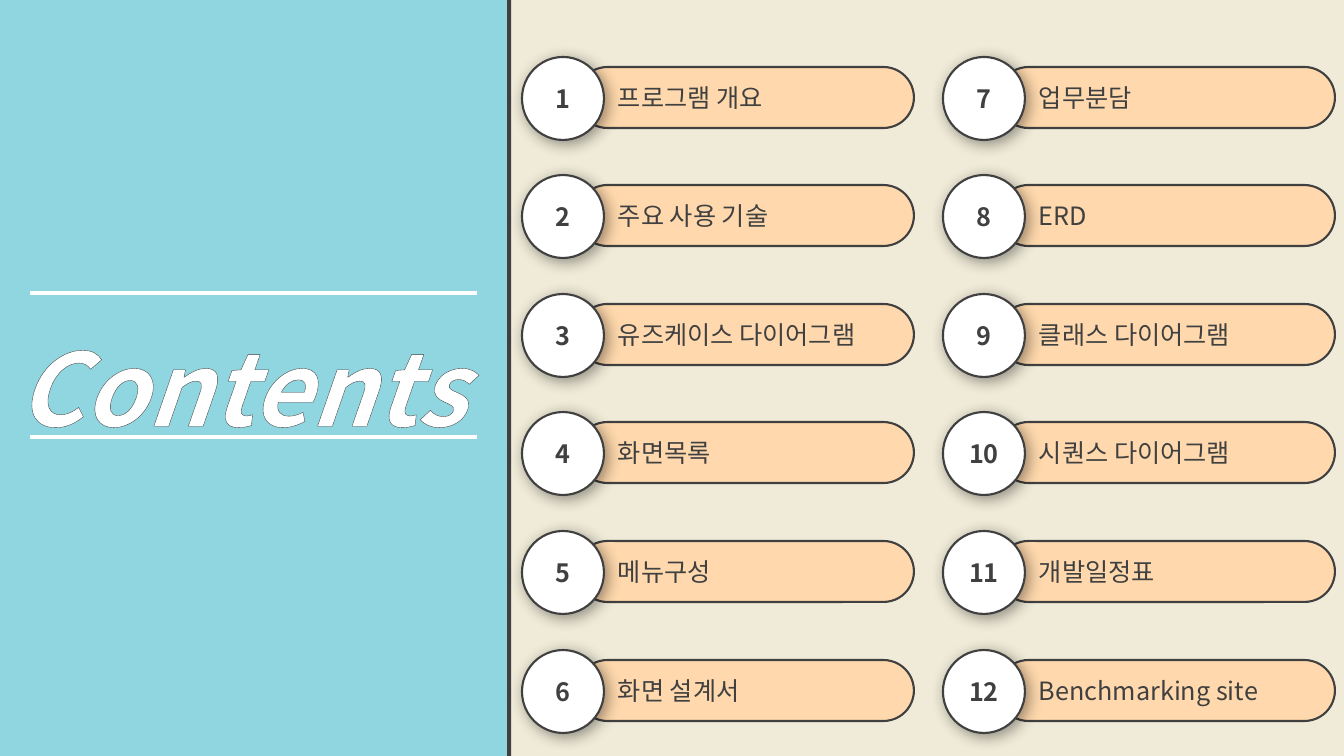
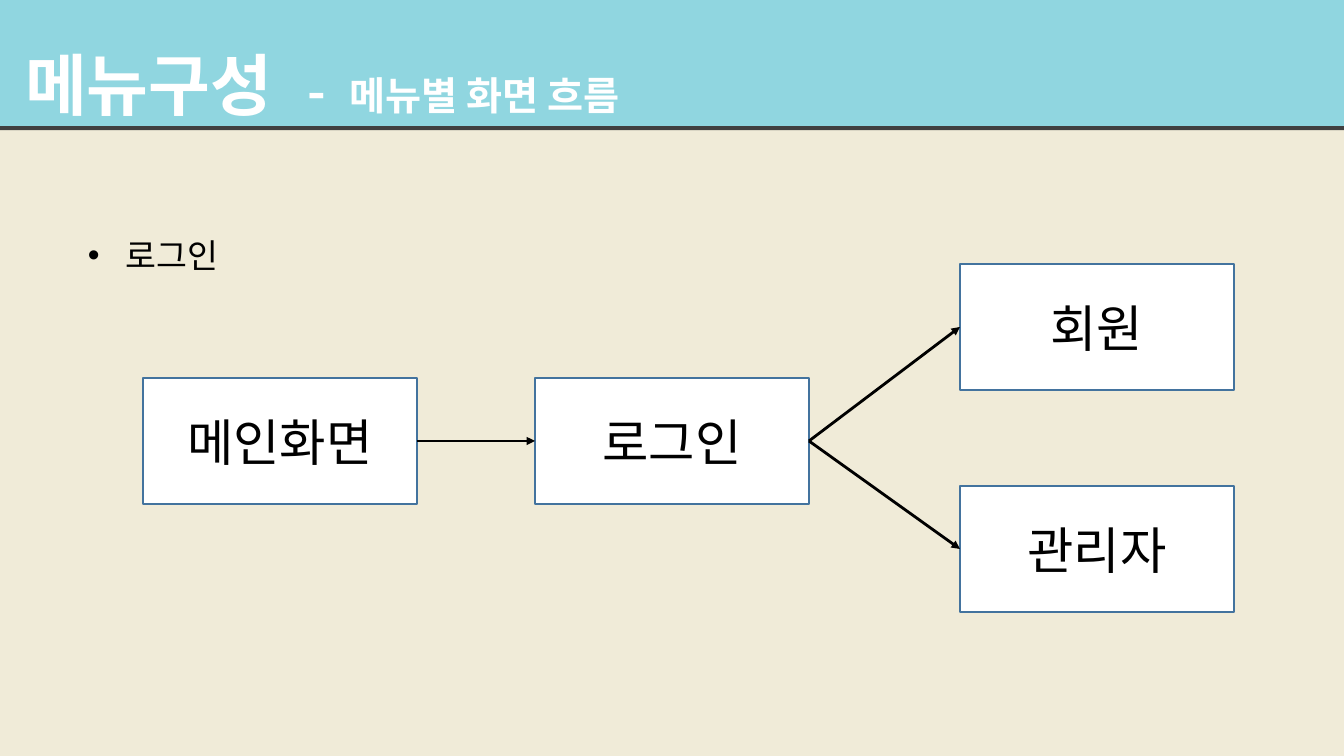
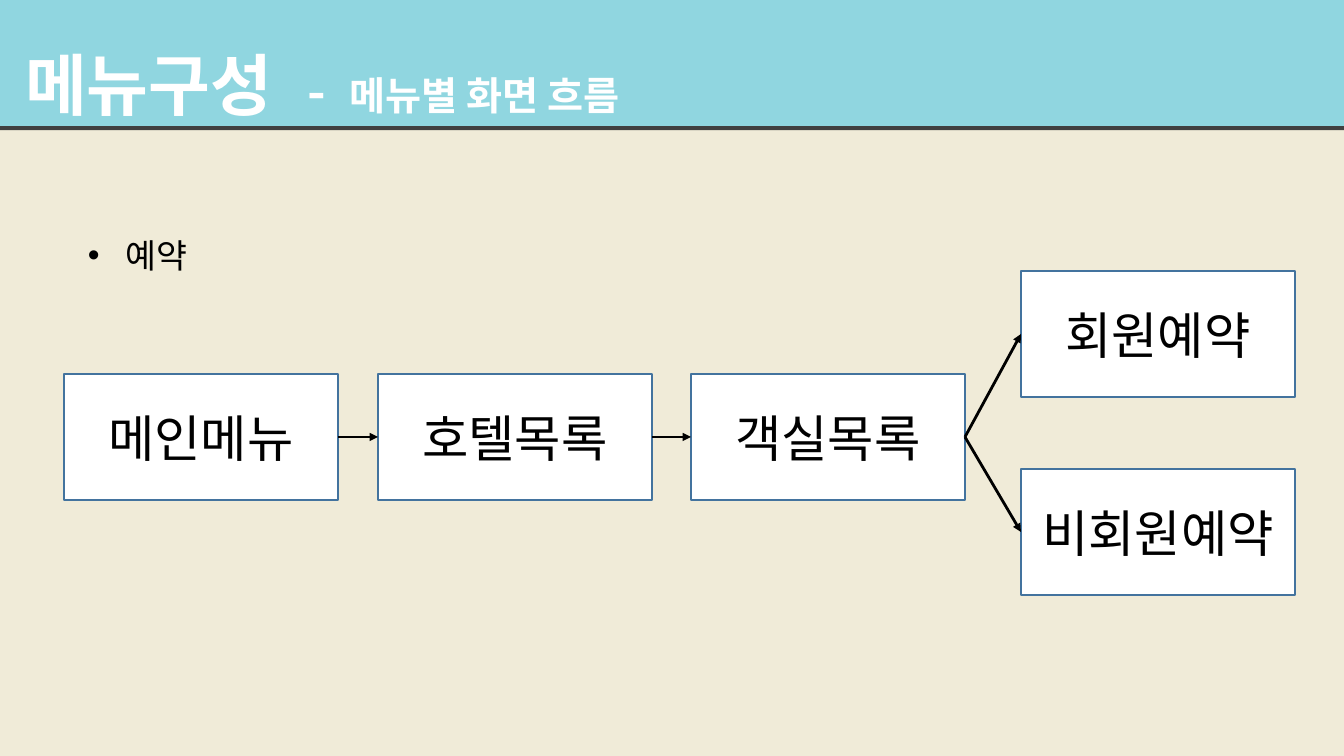
from lxml.etree import SubElement
from pptx import Presentation
from pptx.dml.color import RGBColor as RGB
from pptx.enum.shapes import MSO_CONNECTOR as CONN, MSO_SHAPE as SHAPE
from pptx.enum.text import MSO_ANCHOR as ANCHOR, MSO_AUTO_SIZE as FIT, PP_ALIGN as ALIGN
from pptx.oxml.ns import qn
from pptx.util import Emu, Pt

WIDTH, HEIGHT = 1344, 756
SCALE = 12192000 / WIDTH
FONT = "Noto Sans CJK KR"
COLORS = {
    "paper": "F0EBD8",
    "sky": "90D6E0",
    "peach": "FFD9AD",
    "dark": "404040",
    "steel": "43739E",
    "white": "FFFFFF",
    "black": "000000",
}
RIGHT_SITE, LEFT_SITE = 3, 1


def px(n):
    return Emu(round(n * SCALE))


def rgb(name):
    return RGB.from_string(COLORS[name])


def add_node(parent, tag, **attrs):
    return SubElement(parent, qn(tag), {k: str(v) for k, v in attrs.items()})


def add_color(parent, name):
    return add_node(add_node(parent, "a:solidFill"), "a:srgbClr", val=COLORS[name])


def write(tf, text, size=18, color="dark", bold=False, italic=False,
          align=ALIGN.LEFT, spacing=None, bullet=None, outline=None):
    runs = [(text, size, 0)] if isinstance(text, str) else text
    tf.word_wrap = True
    p = tf.paragraphs[0]
    p.alignment = align
    if spacing:
        p.line_spacing = spacing
    if bullet:
        pPr = p._p.get_or_add_pPr()
        pPr.set("marL", str(px(38)))
        pPr.set("indent", str(-px(38)))
        add_node(pPr, "a:buFont", typeface="Arial")
        add_node(pPr, "a:buChar", char=bullet)
    for part, points, tracking in runs:
        r = p.add_run()
        r.text = part
        f = r.font
        f.name, f.size, f.bold, f.italic = FONT, Pt(points), bold, italic
        f.color.rgb = rgb(color)
        rPr = r._r.get_or_add_rPr()
        add_node(rPr, "a:ea", typeface=FONT)
        if tracking:
            rPr.set("spc", str(tracking * 100))
        if outline:
            ln = add_node(rPr, "a:ln", w=Pt(0.75))
            add_color(ln, outline)
            rPr.insert(0, ln)


class Deck:
    def __init__(self):
        self.prs = Presentation()
        self.prs.slide_width, self.prs.slide_height = px(WIDTH), px(HEIGHT)
        self.s = None

    def slide(self):
        self.s = self.prs.slides.add_slide(self.prs.slide_layouts[6])
        fill = self.s.background.fill
        fill.solid()
        fill.fore_color.rgb = rgb("paper")

    def shape(self, kind, x, y, w, h, fill, line=None, weight=1.5, shadow=None):
        sp = self.s.shapes.add_shape(kind, px(x), px(y), px(w), px(h))
        sp.fill.solid()
        sp.fill.fore_color.rgb = rgb(fill)
        if line:
            sp.line.color.rgb = rgb(line)
            sp.line.width = Pt(weight)
        else:
            sp.line.fill.background()
        sp.shadow.inherit = False
        if shadow:
            color, alpha, blur, angle = shadow
            effects = sp._element.spPr.find(qn("a:effectLst"))
            cast = add_node(effects, "a:outerShdw", blurRad=Pt(blur), dist=Pt(3),
                            dir=angle * 60000, algn="ctr", rotWithShape=0)
            tint = add_node(cast, "a:srgbClr", val=COLORS[color])
            add_node(tint, "a:alpha", val=alpha * 1000)
        sp.text_frame.vertical_anchor = ANCHOR.MIDDLE
        return sp

    def text(self, x, y, w, h, text, **style):
        tf = self.s.shapes.add_textbox(px(x), px(y), px(w), px(h)).text_frame
        write(tf, text, **style)
        tf.auto_size = FIT.SHAPE_TO_FIT_TEXT

    def line(self, x1, y1, x2, y2, color, weight):
        cx = self.s.shapes.add_connector(CONN.STRAIGHT, px(x1), px(y1), px(x2), px(y2))
        cx.line.color.rgb = rgb(color)
        cx.line.width = Pt(weight)
        add_node(cx._element.spPr, "a:effectLst")
        return cx

    def arrow(self, start, end):
        cx = self.line(0, 0, 0, 0, "black", 2)
        cx.begin_connect(start, RIGHT_SITE)
        cx.end_connect(end, LEFT_SITE)
        add_node(cx.line._get_or_add_ln(), "a:tailEnd", type="triangle")

    def entry(self, x, y, number, label):
        bar = self.shape(SHAPE.ROUNDED_RECTANGLE, x + 55, y + 10, 337, 61, "peach", "dark")
        bar.adjustments[0] = 0.5
        bar.text_frame.margin_left = px(32)
        write(bar.text_frame, label)
        badge = self.shape(SHAPE.OVAL, x, y, 82, 83, "white", "dark",
                           shadow=("black", 40, 11, 45))
        write(badge.text_frame, str(number), bold=True, align=ALIGN.CENTER)

    def title_band(self, title, subtitle):
        band = self.shape(SHAPE.RECTANGLE, 0, 0, WIDTH, 126, "sky",
                          shadow=("dark", 100, 0, 90))
        band.text_frame.margin_left = px(25)
        write(band.text_frame, [(title, 48, 0), (" ", 48, 14), ("-", 36, 0),
                                (" ", 36, 9), (subtitle, 28, 0)],
              color="white", bold=True, spacing=1.5)

    def step(self, x, y, label):
        sp = self.shape(SHAPE.RECTANGLE, x, y, 274, 126, "white", "steel", weight=1)
        write(sp.text_frame, label, size=36, color="black", align=ALIGN.CENTER)
        return sp

    def flow(self, topic, chain, branches):
        self.slide()
        self.text(78, 230, 251, 50, topic, size=24, color="black", bullet="•")
        steps = [self.step(*item) for item in chain]
        ends = [self.step(*item) for item in branches]
        for start, end in zip(steps, steps[1:]):
            self.arrow(start, end)
        for end in ends:
            self.arrow(steps[-1], end)
        self.title_band("메뉴구성", "메뉴별 화면 흐름")

    def contents(self, columns):
        self.slide()
        self.shape(SHAPE.RECTANGLE, -1, 0, 508, HEIGHT, "sky", shadow=("dark", 100, 0, 0))
        self.text(-13, 260, 508, 169, "Contents", size=72, color="white", bold=True,
                  italic=True, align=ALIGN.CENTER, spacing=1.5, outline="dark")
        for y in (293, 437):
            self.line(30, y, 477, y, "white", 2.75)
        number = 0
        for x, labels in columns:
            for row, label in enumerate(labels):
                number += 1
                self.entry(x, 57 + row * 593 // 5, number, label)


def main():
    deck = Deck()
    deck.contents([
        (522, ["프로그램 개요", "주요 사용 기술", "유즈케이스 다이어그램",
               "화면목록", "메뉴구성", "화면 설계서"]),
        (943, ["업무분담", "ERD", "클래스 다이어그램",
               "시퀀스 다이어그램", "개발일정표", "Benchmarking site"]),
    ])
    deck.flow("로그인",
              [(143, 378, "메인화면"), (535, 378, "로그인")],
              [(960, 264, "회원"), (960, 486, "관리자")])
    deck.flow("예약",
              [(64, 374, "메인메뉴"), (378, 374, "호텔목록"), (691, 374, "객실목록")],
              [(1021, 271, "회원예약"), (1021, 469, "비회원예약")])
    deck.prs.save("out.pptx")


if __name__ == "__main__":
    main()
